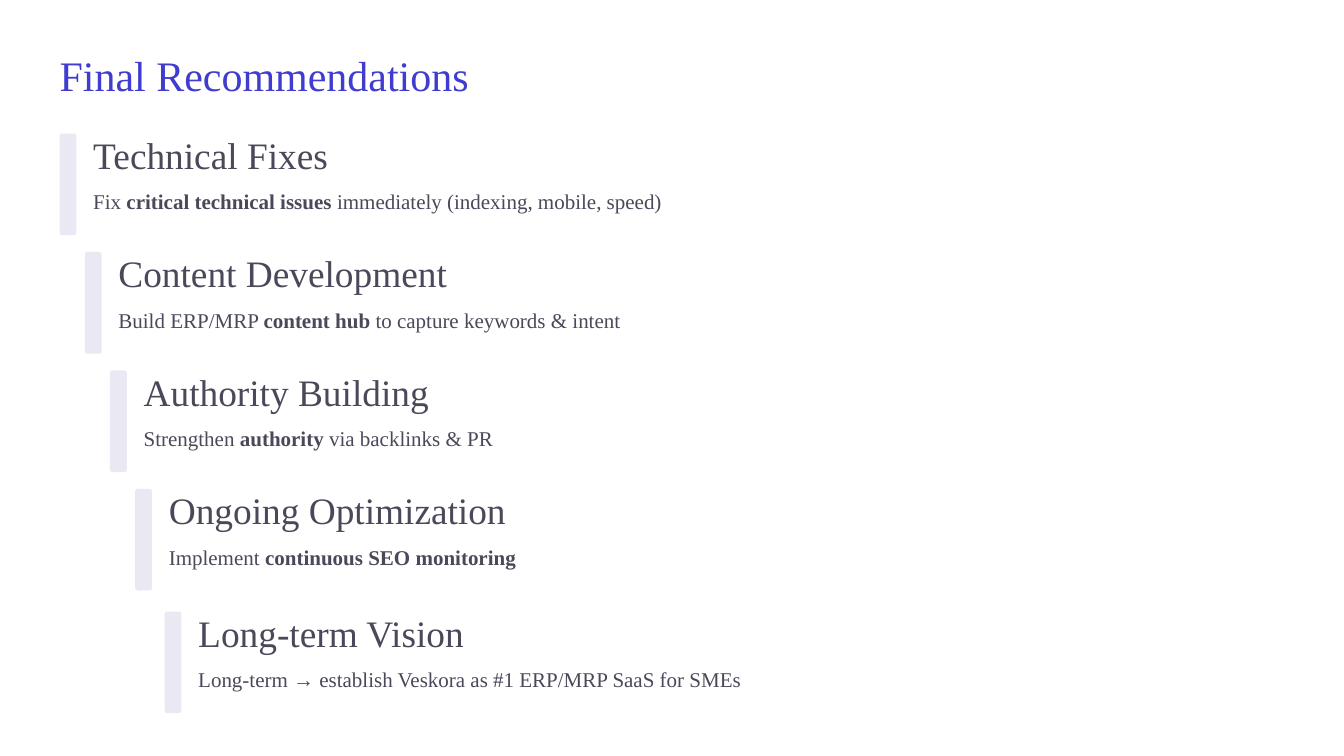
import pptx
import pptx.util
import pptx.dml.color
import pptx.enum.shapes
import pptx.enum.text

Inches = pptx.util.Inches
Pt = pptx.util.Pt
RGBColor = pptx.dml.color.RGBColor

BLUE = RGBColor(0x40, 0x3C, 0xCF)
GREY = RGBColor(0x49, 0x49, 0x5A)
LILAC = RGBColor(0xEA, 0xE8, 0xF3)
FONT = "Times New Roman"

# Heading, heading width, detail (bold between asterisks), detail width
STEPS = [
    ("Technical Fixes", 2.52,
     "Fix *critical technical issues* immediately (indexing, mobile, speed)", 14.19),
    ("Content Development", 2.88,
     "Build ERP/MRP *content hub* to capture keywords & intent", 13.88),
    ("Authority Building", 2.52,
     "Strengthen *authority* via backlinks & PR", 13.58),
    ("Ongoing Optimization", 2.95,
     "Implement *continuous SEO monitoring*", 13.28),
    ("Long-term Vision", 2.52,
     "Long-term → establish Veskora as #1 ERP/MRP SaaS for SMEs", 13.58),
]


def write(shape, text, size, line, color=GREY):
    """Fill a shape with one line of text; *stars* mark bold words."""
    frame = shape.text_frame
    frame.margin_left = frame.margin_right = 0
    frame.margin_top = frame.margin_bottom = 0
    frame.word_wrap = False
    frame.auto_size = pptx.enum.text.MSO_AUTO_SIZE.NONE
    frame.vertical_anchor = pptx.enum.text.MSO_ANCHOR.TOP
    para = frame.paragraphs[0]
    para.alignment = pptx.enum.text.PP_ALIGN.LEFT
    para.line_spacing = Pt(line)
    for i, part in enumerate(text.split("*")):
        if part:
            run = para.add_run()
            run.text = part
            run.font.name = FONT
            run.font.size = Pt(size)
            run.font.bold = i % 2 == 1
            run.font.color.rgb = color


def add_title(slide, left, top, width, height):
    title = slide.shapes.title
    title.left, title.top = Inches(left), Inches(top)
    title.width, title.height = Inches(width), Inches(height)
    write(title, "Final Recommendations", size=36, line=45, color=BLUE)


def add_step(slide, left, top, step):
    head, head_width, detail, detail_width = step
    shapes = slide.shapes

    # Side bar
    bar = shapes.add_shape(pptx.enum.shapes.MSO_SHAPE.ROUNDED_RECTANGLE,
                           Inches(left), Inches(top), Inches(0.2), Inches(1.21))
    bar.adjustments[0] = 0.15
    bar.shadow.inherit = False
    bar.fill.solid()
    bar.fill.fore_color.rgb = LILAC
    bar.line.fill.background()

    # Heading and detail
    rows = [(head, head_width, 0.2, 32, 22.5),
            (detail, detail_width, 0.64, 18, 23)]
    for text, width, drop, size, line in rows:
        box = shapes.add_textbox(Inches(left + 0.4), Inches(top + drop),
                                 Inches(width), Inches(0.32))
        write(box, text, size=size, line=line)


def add_stairs(slide, left, top):
    last = len(STEPS) - 1
    for i, step in enumerate(STEPS):
        # The closing step stands slightly apart
        gap = 0.05 if i == last else 0
        add_step(slide, left + 0.3 * i + gap, top + 1.41 * i + gap, step)


def main():
    deck = pptx.Presentation()
    deck.slide_width, deck.slide_height = Inches(16), Inches(9)
    slide = deck.slides.add_slide(deck.slide_layouts[5])
    add_title(slide, 0.71, 0.56, 6.33, 0.63)
    add_stairs(slide, 0.71, 1.59)
    deck.save("out.pptx")


if __name__ == "__main__":
    main()
